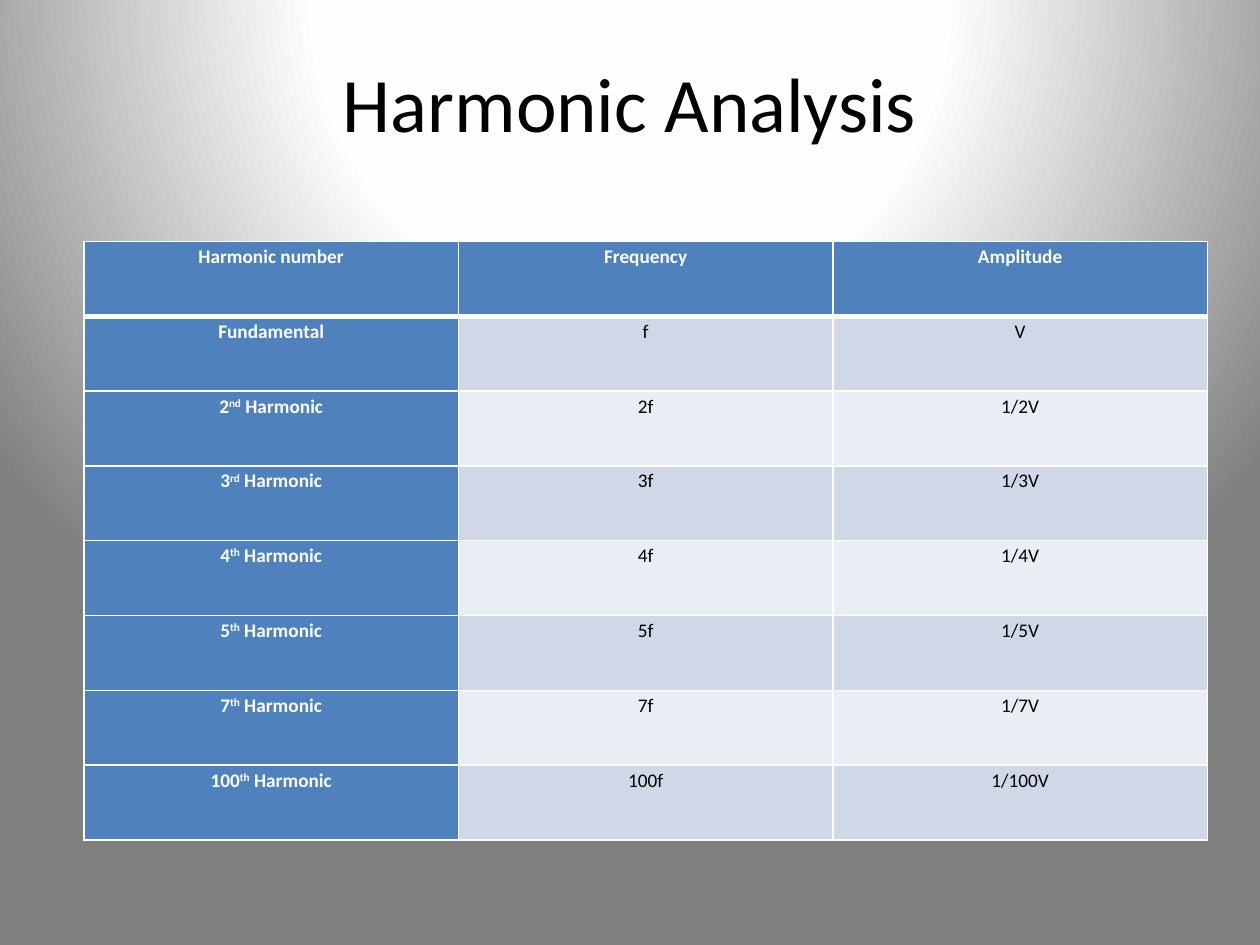
"""Build the Harmonic Analysis slide with its table of harmonics."""
from dataclasses import dataclass

from pptx import Presentation
from pptx.dml.color import RGBColor
from pptx.enum.text import MSO_ANCHOR, PP_ALIGN
from pptx.oxml import parse_xml
from pptx.oxml.ns import nsdecls
from pptx.util import Pt

BLACK = RGBColor(0x00, 0x00, 0x00)
WHITE = RGBColor(0xFF, 0xFF, 0xFF)
BLUE = RGBColor(0x4F, 0x81, 0xBD)
BAND_DARK = RGBColor(0xD0, 0xD8, 0xE8)
BAND_LIGHT = RGBColor(0xE9, 0xED, 0xF4)
FONT = "Calibri"
HEADERS = ("Harmonic number", "Frequency", "Amplitude")
COL_WIDTH, ROW_HEIGHT = 214, 42.75

BACKGROUND = f"""<p:bg {nsdecls('p', 'a')}><p:bgPr><a:gradFill rotWithShape="1"><a:gsLst>
<a:gs pos="0"><a:srgbClr val="FFFFFF"/></a:gs>
<a:gs pos="40000"><a:srgbClr val="FEFEFE"/></a:gs>
<a:gs pos="100000"><a:srgbClr val="7F7F7F"/></a:gs></a:gsLst>
<a:path path="circle"><a:fillToRect l="50000" t="-80000" r="50000" b="180000"/></a:path>
</a:gradFill><a:effectLst/></p:bgPr></p:bg>"""


@dataclass
class Harmonic:
    number: int
    suffix: str

    @property
    def label(self) -> tuple[str, ...]:
        if self.number == 1:
            return ("Fundamental",)
        return (str(self.number), self.suffix, " Harmonic")

    @property
    def frequency(self) -> str:
        return "f" if self.number == 1 else f"{self.number}f"

    @property
    def amplitude(self) -> str:
        return "V" if self.number == 1 else f"1/{self.number}V"


HARMONICS = [
    Harmonic(1, "st"),
    Harmonic(2, "nd"),
    Harmonic(3, "rd"),
    Harmonic(4, "th"),
    Harmonic(5, "th"),
    Harmonic(7, "th"),
    Harmonic(100, "th"),
]


def format_run(r, size: float, color: RGBColor, bold: bool = False) -> None:
    r.font.name = FONT
    r.font.size = Pt(size)
    r.font.color.rgb = color
    r.font.bold = bold


def set_borders(cell, top: float, bottom: float) -> None:
    tcPr = cell._tc.get_or_add_tcPr()
    widths = {"lnL": 1, "lnR": 1, "lnT": top, "lnB": bottom}
    for i, (tag, width) in enumerate(widths.items()):
        tcPr.insert(i, parse_xml(
            f'<a:{tag} {nsdecls("a")} w="{Pt(width)}"><a:solidFill>'
            f'<a:srgbClr val="{WHITE}"/></a:solidFill></a:{tag}>'))


def fill_cell(cell, parts: tuple[str, ...], fill: RGBColor, strong: bool) -> None:
    cell.margin_left = cell.margin_right = Pt(5)
    cell.margin_top = cell.margin_bottom = Pt(0)
    cell.fill.solid()
    cell.fill.fore_color.rgb = fill
    p = cell.text_frame.paragraphs[0]
    p.alignment = PP_ALIGN.CENTER
    p.line_spacing = 1.15
    for i, part in enumerate(parts):
        r = p.add_run()
        r.text = part
        format_run(r, 11, WHITE if strong else BLACK, strong)
        if i == 1:
            r.font._element.set("baseline", "30000")


def add_title(slide, text: str) -> None:
    sp = slide.shapes.add_textbox(Pt(54), Pt(0), Pt(612), Pt(116))
    tf = sp.text_frame
    tf.word_wrap = True
    tf.vertical_anchor = MSO_ANCHOR.MIDDLE
    tf.text = text
    p = tf.paragraphs[0]
    p.alignment = PP_ALIGN.CENTER
    format_run(p.runs[0], 44, BLACK)


def add_harmonics_table(slide) -> None:
    rows = [tuple((h,) for h in HEADERS)]
    rows += [(h.label, (h.frequency,), (h.amplitude,)) for h in HARMONICS]
    table = slide.shapes.add_table(
        len(rows), len(HEADERS), Pt(48), Pt(138),
        Pt(COL_WIDTH * len(HEADERS)), Pt(ROW_HEIGHT * len(rows))).table
    table.first_col = True
    for i, row in enumerate(rows):
        band = BAND_DARK if i % 2 else BAND_LIGHT
        for j, parts in enumerate(row):
            strong = i == 0 or j == 0
            cell = table.cell(i, j)
            fill_cell(cell, parts, BLUE if strong else band, strong)
            set_borders(cell, 3 if i == 1 else 1, 3 if i == 0 else 1)


prs = Presentation()
prs.slide_width, prs.slide_height = Pt(720), Pt(540)
s = prs.slides.add_slide(prs.slide_layouts[6])
s.element.cSld.insert(0, parse_xml(BACKGROUND))
add_title(s, "Harmonic Analysis")
add_harmonics_table(s)
prs.save("out.pptx")
